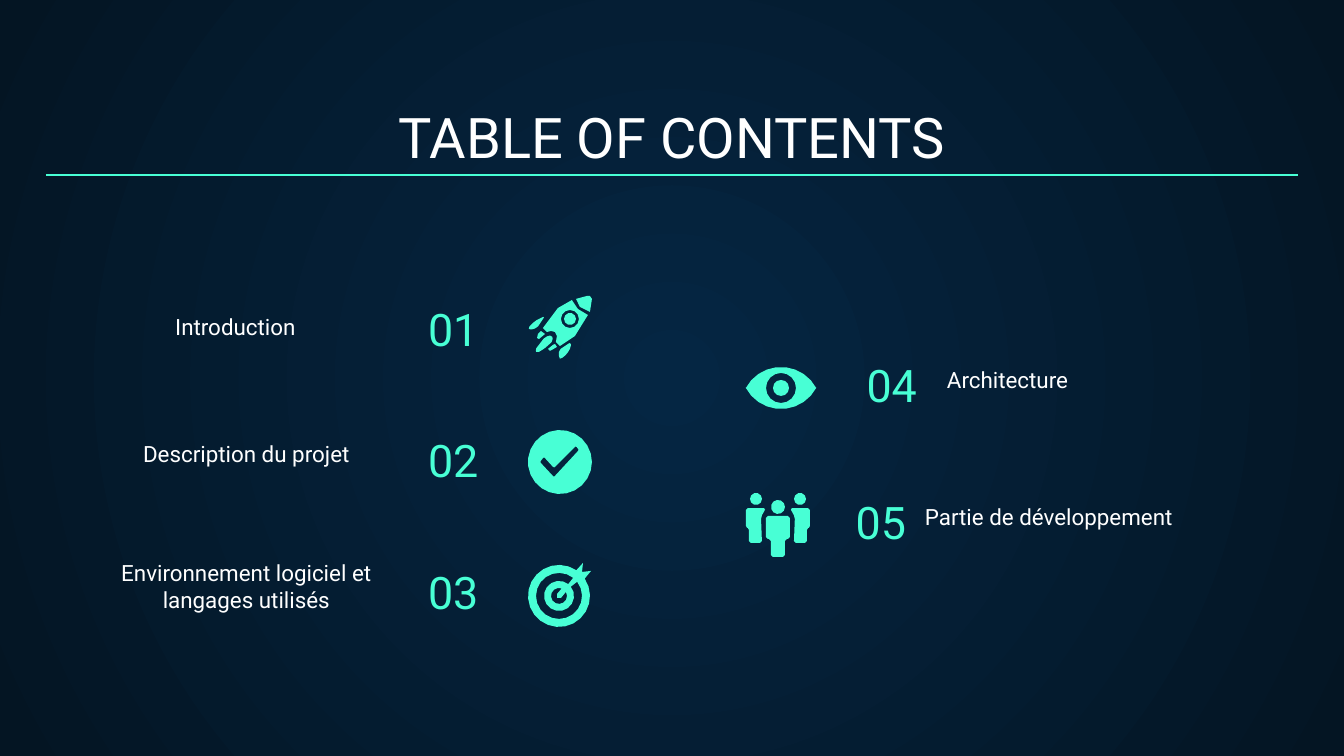
import dataclasses
import math

import pptx
import pptx.dml.color
import pptx.enum.shapes
import pptx.enum.text
import pptx.oxml
import pptx.oxml.ns
import pptx.util

PX = 914400 / 134.4
ALIGN = pptx.enum.text.PP_ALIGN


@dataclasses.dataclass(frozen=True)
class Theme:
    font: str = "Roboto"
    white: str = "FFFFFF"
    accent: str = "48FFD5"
    glow: str = "052643"
    edge: str = "041523"
    title_size: int = 30
    number_size: int = 24
    label_size: int = 12
    inset: int = 13


@dataclasses.dataclass(frozen=True)
class Entry:
    number: str
    text: str
    box: tuple
    label_box: tuple
    number_left: int
    icon_at: tuple
    icon: list
    number_align: int = ALIGN.LEFT
    label_align: int = ALIGN.CENTER


THEME = Theme()


def emu(length):
    return pptx.util.Emu(round(length * PX))


def rgb(color):
    return pptx.dml.color.RGBColor.from_string(color)


def arc(x, y, radius, start=0, end=360):
    steps = math.ceil(4 * math.sqrt(radius) * abs(end - start) / 360)
    angles = [math.radians(start + (end - start) * step / steps) for step in range(steps + 1)]
    return [(x + radius * math.cos(angle), y + radius * math.sin(angle)) for angle in angles]


def circle(x, y, radius):
    return arc(x, y, radius)[:-1]


def rounded(points, radius=2):
    outline = []
    for index, (x, y) in enumerate(points):
        for next_x, next_y in (points[index - 1], points[(index + 1) % len(points)]):
            share = min(radius / math.dist((x, y), (next_x, next_y)), 0.4)
            outline.append((x + (next_x - x) * share, y + (next_y - y) * share))
    return outline


def mirrored(points, width):
    return [(width - x, y) for x, y in points]


ROCKET = [
    [[(13, 35), (10, 38), (9, 42), (11, 43), (17, 38)]],
    [[(27, 48), (25, 49), (20, 53), (22, 55), (24, 54), (29, 51)]],
    [rounded([(24, 39), (17, 41), (7, 54), (9, 57), (16, 53), (25, 45)])],
    [rounded([(17, 20), (7, 25), (0, 32), (2, 34), (9, 32)])],
    [rounded([(43, 46), (31, 54), (31, 62), (33, 63), (39, 58), (43, 51)])],
    [circle(42, 23, 6)],
    [[(59, 0), (48, 3), (52, 11), (62, 16), (64, 3), (62, 0)]],
    [
        [
            (44, 4), (30, 12), (15, 32), (19, 36), (23, 35), (27, 36), (29, 40),
            (28, 46), (32, 50), (47, 40), (60, 19), (50, 13),
        ],
        circle(42, 23, 9),
    ],
]
CHECK = [[
    circle(32, 32, 32),
    rounded([(48, 16), (51, 20), (26, 47), (12, 32), (16, 27), (26, 38)], 1),
]]
TARGET = [[
    arc(31, 33, 31, -34, 304) + [(55, 0), (54, 9), (63, 8)],
    arc(31, 33, 23, -38, 308) + arc(31, 33, 15, 308, -38),
    arc(31, 33, 8, -30, 290) + [(29, 31), (29, 35), (33, 35)],
]]
EYE = [[
    arc(35, 40, 40, 208, 332) + arc(35, 2, 40, 28, 152),
    circle(35, 21, 15),
    circle(35, 21, 8),
]]
SIDE_HEAD = circle(10, 6, 6)
SIDE_BODY = rounded([
    (0, 15), (20, 15), (15, 24), (16, 50), (3, 50), (3, 35), (0, 35),
])
PEOPLE = [
    [SIDE_HEAD],
    [SIDE_BODY],
    [mirrored(SIDE_HEAD, 64)],
    [mirrored(SIDE_BODY, 64)],
    [rounded([(20, 23), (44, 23), (44, 46), (39, 46), (39, 64), (25, 64), (25, 46), (20, 46)])],
    [circle(32, 14, 7)],
]

ENTRIES = [
    Entry("01", "Introduction", (83, 280), (0, 45, 305, 28), 332, (445, 16), ROCKET),
    Entry("02", "Description du projet", (83, 411), (11, 41, 305, 28), 332, (445, 19), CHECK),
    Entry("03", "Environnement logiciel et langages utilisés", (83, 543),
          (11, 55, 305, 28), 332, (445, 20), TARGET),
    Entry("04", "Architecture", (746, 336), (188, 42, 305, 28), 11, (0, 31), EYE,
          ALIGN.RIGHT, ALIGN.LEFT),
    Entry("05", "Partie de développement", (746, 473), (146, 42, 314, 28), 0, (0, 20), PEOPLE,
          ALIGN.RIGHT),
]


def write_text(shape, text, *, size, color, align):
    frame = shape.text_frame
    frame.word_wrap = True
    frame.auto_size = pptx.enum.text.MSO_AUTO_SIZE.NONE
    frame.vertical_anchor = pptx.enum.text.MSO_ANCHOR.BOTTOM
    frame.margin_left = frame.margin_right = emu(THEME.inset)
    frame.margin_top = frame.margin_bottom = emu(THEME.inset)
    paragraph = frame.paragraphs[0]
    paragraph.alignment = align
    run = paragraph.add_run()
    run.text = text
    run.font.name = THEME.font
    run.font.size = pptx.util.Pt(size)
    run.font.color.rgb = rgb(color)


def add_text(slide, box, text, **text_format):
    write_text(slide.shapes.add_textbox(*map(emu, box)), text, **text_format)


def draw_icon(slide, left, top, icon):
    shapes = []
    for contours in icon:
        builder = None
        for contour in contours:
            points = [(emu(left + x), emu(top + y)) for x, y in contour]
            if builder is None:
                builder = slide.shapes.build_freeform(*points[0], scale=1.0)
            else:
                builder.move_to(*points[0])
            builder.add_line_segments(points[1:], close=True)
        shape = builder.convert_to_shape()
        shape.shadow.inherit = False
        shape.fill.solid()
        shape.fill.fore_color.rgb = rgb(THEME.accent)
        shape.line.fill.background()
        shapes.append(shape)
    if len(shapes) > 1:
        slide.shapes.add_group_shape(shapes)


def draw_entry(slide, entry):
    left, top = entry.box
    label_left, label_top, width, height = entry.label_box
    add_text(slide, (left + entry.number_left, top, 173, 89), entry.number,
             size=THEME.number_size, color=THEME.accent, align=entry.number_align)
    add_text(slide, (left + label_left, top + label_top, width, height), entry.text,
             size=THEME.label_size, color=THEME.white, align=entry.label_align)
    draw_icon(slide, left + entry.icon_at[0], top + entry.icon_at[1], entry.icon)


def draw_background(slide):
    fill = slide.background.fill
    fill.gradient()
    for stop, color in zip(fill.gradient_stops, (THEME.glow, THEME.edge)):
        stop.color.rgb = rgb(color)
    gradient = slide.element.find(".//" + pptx.oxml.ns.qn("a:gradFill"))
    gradient.remove(gradient.find(pptx.oxml.ns.qn("a:lin")))
    gradient.append(pptx.oxml.parse_xml(
        f'<a:path {pptx.oxml.ns.nsdecls("a")} path="circle">'
        '<a:fillToRect l="50000" t="50000" r="50000" b="50000"/></a:path>'
    ))


def draw_header(slide, box):
    left, top, width, height = box
    title = slide.shapes.title
    title.left, title.top, title.width, title.height = map(emu, box)
    write_text(title, "TABLE OF CONTENTS", size=THEME.title_size, color=THEME.white,
               align=ALIGN.CENTER)
    rule = slide.shapes.add_connector(
        pptx.enum.shapes.MSO_CONNECTOR.STRAIGHT,
        *map(emu, (left, top + 81, left + width, top + 81)))
    rule.line.color.rgb = rgb(THEME.accent)
    rule.line.width = pptx.util.Pt(0.75)
    rule.element.spPr.append(
        pptx.oxml.parse_xml(f'<a:effectLst {pptx.oxml.ns.nsdecls("a")}/>'))


def main():
    presentation = pptx.Presentation()
    presentation.slide_width, presentation.slide_height = emu(1344), emu(756)
    slide = presentation.slides.add_slide(presentation.slide_layouts[5])
    draw_background(slide)
    draw_header(slide, (46, 94, 1252, 89))
    for entry in ENTRIES:
        draw_entry(slide, entry)
    presentation.save("out.pptx")


if __name__ == "__main__":
    main()
